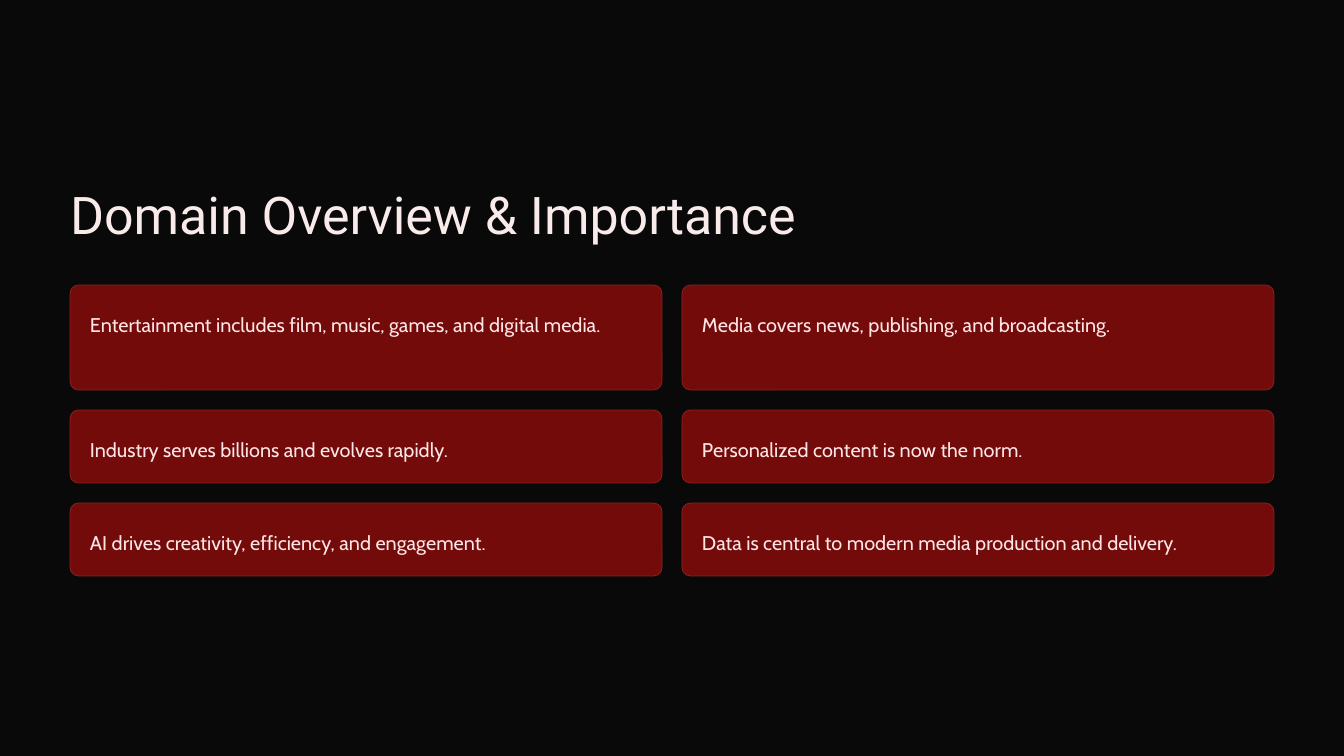
from pptx import Presentation
from pptx.dml.color import RGBColor
from pptx.enum.shapes import MSO_SHAPE
from pptx.enum.text import MSO_ANCHOR, MSO_AUTO_SIZE, PP_ALIGN
from pptx.util import Emu, Pt

ROUNDED = MSO_SHAPE.ROUNDED_RECTANGLE
TOP = MSO_ANCHOR.TOP
LEFT = PP_ALIGN.LEFT
NO_AUTOFIT = MSO_AUTO_SIZE.NONE

# Content
TITLE = "Domain Overview & Importance"
CARD_ROWS = [  # row height, card texts
    (105, ["Entertainment includes film, music, games, and digital media.",
           "Media covers news, publishing, and broadcasting."]),
    (73, ["Industry serves billions and evolves rapidly.",
          "Personalized content is now the norm."]),
    (73, ["AI drives creativity, efficiency, and engagement.",
          "Data is central to modern media production and delivery."]),
]
COLORS = {"background": "090909", "title": "FAEBEB", "card": "740B0B",
          "border": "8D2424", "text": "FFE5E5"}

# Layout in px
EMU_PER_PX = 914400 / 84
MARGIN, CARDS_TOP = 70, 285
CARD_WIDTH, GAP, PADDING, RADIUS = 592, 20, 20, 8.35


def px(length):
    return Emu(round(length * EMU_PER_PX))


def color(name):
    return RGBColor.from_string(COLORS[name])


def place(shape, left, top, width, height):
    shape.left, shape.top = px(left), px(top)
    shape.width, shape.height = px(width), px(height)


def write(shape, text, font_name, size, line_spacing, color_name):
    frame = shape.text_frame
    frame.text = text
    frame.word_wrap = True
    frame.auto_size = NO_AUTOFIT
    frame.vertical_anchor = TOP
    frame.margin_left = frame.margin_right = 0
    frame.margin_top = frame.margin_bottom = 0
    paragraph = frame.paragraphs[0]
    paragraph.alignment = LEFT
    paragraph.line_spacing = Pt(line_spacing)
    font = paragraph.runs[0].font
    font.name, font.size = font_name, Pt(size)
    font.color.rgb = color(color_name)


def add_card(slide, left, top, height, text):
    card = slide.shapes.add_shape(ROUNDED, px(left), px(top), px(CARD_WIDTH), px(height))
    card.adjustments[0] = RADIUS / height
    card.shadow.inherit = False
    card.fill.solid()
    card.fill.fore_color.rgb = color("card")
    card.line.color.rgb = color("border")
    card.line.width = Pt(0.6)
    label = slide.shapes.add_textbox(px(left + PADDING), px(top + PADDING),
                                     px(CARD_WIDTH - 2 * PADDING),
                                     px(height - 2 * PADDING))
    write(label, text, "Cabin", 17, 27, "text")


def main():
    presentation = Presentation()
    presentation.slide_width, presentation.slide_height = px(1344), px(756)
    slide = presentation.slides.add_slide(presentation.slide_layouts[5])
    slide.background.fill.solid()
    slide.background.fill.fore_color.rgb = color("background")

    # Title
    title = slide.shapes.title
    place(title, MARGIN, 180, 972, 66)
    write(title, TITLE, "Roboto", 44.5, 56, "title")

    # Card grid
    top = CARDS_TOP
    for height, texts in CARD_ROWS:
        for column, text in enumerate(texts):
            add_card(slide, MARGIN + column * (CARD_WIDTH + GAP), top, height, text)
        top += height + GAP

    presentation.save("out.pptx")


if __name__ == "__main__":
    main()
